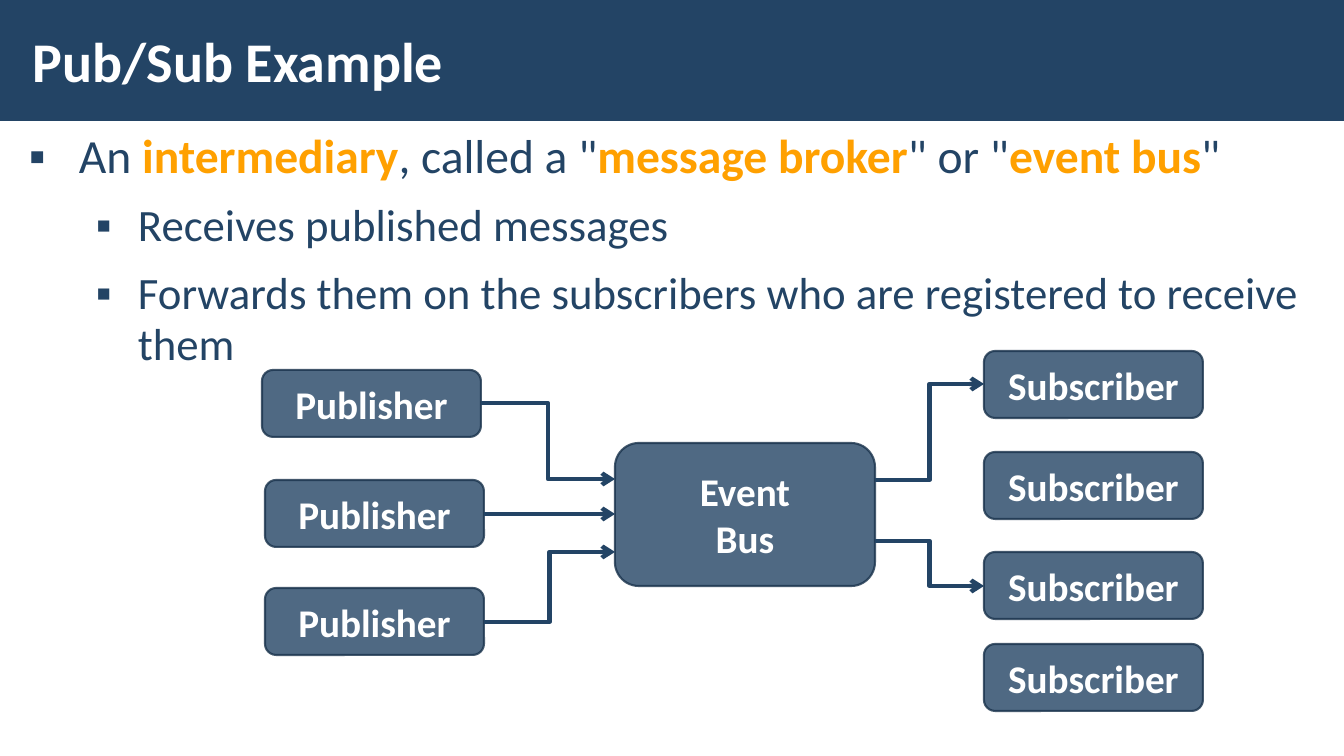
from lxml import etree
from pptx import Presentation
from pptx.dml.color import RGBColor
from pptx.enum.shapes import MSO_CONNECTOR, MSO_SHAPE
from pptx.enum.text import MSO_ANCHOR, MSO_AUTO_SIZE, PP_ALIGN
from pptx.oxml.ns import qn
from pptx.util import Pt

RECTANGLE, ROUNDED = MSO_SHAPE.RECTANGLE, MSO_SHAPE.ROUNDED_RECTANGLE
STRAIGHT, ELBOW = MSO_CONNECTOR.STRAIGHT, MSO_CONNECTOR.ELBOW
MIDDLE, TOP = MSO_ANCHOR.MIDDLE, MSO_ANCHOR.TOP
LEFT, CENTER = PP_ALIGN.LEFT, PP_ALIGN.CENTER
NO_AUTOFIT = MSO_AUTO_SIZE.NONE

NAVY = RGBColor(0x23, 0x44, 0x65)
DARK_NAVY = RGBColor(0x1A, 0x33, 0x4C)
ORANGE = RGBColor(0xFF, 0xA0, 0x00)
WHITE = RGBColor(0xFF, 0xFF, 0xFF)

FONT = "Calibri"
PAGE_WIDTH, PAGE_HEIGHT = 1344, 756
EMU_PER_PX = 12192000 / PAGE_WIDTH

NODE_WIDTH, NODE_HEIGHT = 219, 67
PUBLISHERS = [(262, 370), (265, 480), (265, 588)]
BUS = (615, 443, 260, 143)
SUBSCRIBER_LEFT = 984
SUBSCRIBER_TOPS = [351, 452, 552, 644]

# Level, then (text, highlighted) spans
BULLETS = [
    (0, [("An ", False), ("intermediary", True), (', called a "', False),
         ("message broker", True), ('" or "', False), ("event bus", True),
         ('"', False)]),
    (1, [("Receives published messages", False)]),
    (1, [("Forwards them on the subscribers who are registered to receive them",
          False)]),
]
# Per level: font size in points, left margin and hanging indent in px
LEVELS = [(34, 50, -50), (32, 109, -42)]

ARROWS = [
    (ELBOW, (481, 403), (615, 479)),
    (STRAIGHT, (484, 514), (615, 514)),
    (ELBOW, (484, 622), (615, 552)),
    (ELBOW, (875, 480), (984, 384)),
    (ELBOW, (875, 541), (984, 586)),
]


def px(length):
    return round(length * EMU_PER_PX)


def set_font(font, size, color, bold):
    font.name = FONT
    font.size = Pt(size)
    font.color.rgb = color
    font.bold = bold


def set_alpha(fill_parent, percent):
    """Make the solid fill below an element partly transparent."""
    color = fill_parent.find(qn("a:solidFill"))[0]
    etree.SubElement(color, qn("a:alpha"), val=str(percent * 1000))


def place(placeholder, left, top, width, height, anchor):
    placeholder.left, placeholder.top = px(left), px(top)
    placeholder.width, placeholder.height = px(width), px(height)
    frame = placeholder.text_frame
    frame.margin_left = frame.margin_right = px(12)
    frame.margin_top = frame.margin_bottom = px(4)
    frame.vertical_anchor = anchor
    frame.word_wrap = True
    frame.auto_size = NO_AUTOFIT
    return frame


def add_band(page):
    band = page.shapes.add_shape(RECTANGLE, 0, 0, px(PAGE_WIDTH), px(121))
    band.shadow.inherit = False
    band.fill.solid()
    band.fill.fore_color.rgb = NAVY
    band.line.fill.background()
    # Send behind the title
    page.shapes._spTree.insert(2, band._element)


def add_title(page, text):
    frame = place(page.shapes.title, 21, 11, 1048, 98, MIDDLE)
    frame.text = text
    para = frame.paragraphs[0]
    para.alignment = LEFT
    set_font(para.font, 40, WHITE, True)


def add_bullets(page):
    frame = place(page.placeholders[1], 17, 126, 1297, 263, TOP)
    for index, (level, spans) in enumerate(BULLETS):
        para = frame.add_paragraph() if index else frame.paragraphs[0]
        size, margin, indent = LEVELS[level]
        para.level = level
        para.line_spacing = 0.95
        para.space_before = para.space_after = Pt(6)
        properties = para._p.get_or_add_pPr()
        properties.set("marL", str(px(margin)))
        properties.set("indent", str(px(indent)))
        etree.SubElement(properties, qn("a:buChar"), char="▪")
        set_font(para.font, size, NAVY, False)
        for text, highlighted in spans:
            span = para.add_run()
            span.text = text
            if highlighted:
                span.font.color.rgb = ORANGE
                span.font.bold = True


def add_node(page, text, left, top, width=NODE_WIDTH, height=NODE_HEIGHT):
    box = page.shapes.add_shape(ROUNDED, px(left), px(top), px(width), px(height))
    box.shadow.inherit = False
    box.fill.solid()
    box.fill.fore_color.rgb = NAVY
    box.line.color.rgb = DARK_NAVY
    box.line.width = Pt(1.5)
    properties = box._element.spPr
    set_alpha(properties, 80)
    set_alpha(properties.find(qn("a:ln")), 80)
    frame = box.text_frame
    frame.text = text
    frame.vertical_anchor = MIDDLE
    for para in frame.paragraphs:
        para.alignment = CENTER
        set_font(para.font, 28, WHITE, True)


def add_arrow(page, kind, start, end):
    points = [px(value) for value in (*start, *end)]
    arrow = page.shapes.add_connector(kind, *points)
    arrow.line.color.rgb = NAVY
    arrow.line.width = Pt(3)
    etree.SubElement(arrow.line._get_or_add_ln(), qn("a:tailEnd"), type="arrow")
    etree.SubElement(arrow._element.spPr, qn("a:effectLst"))


def main():
    deck = Presentation()
    deck.slide_width, deck.slide_height = px(PAGE_WIDTH), px(PAGE_HEIGHT)
    page = deck.slides.add_slide(deck.slide_layouts[1])

    # Heading and list
    add_band(page)
    add_title(page, "Pub/Sub Example")
    add_bullets(page)

    # Message flow
    for left, top in PUBLISHERS:
        add_node(page, "Publisher", left, top)
    add_node(page, "Event\nBus", *BUS)
    for top in SUBSCRIBER_TOPS:
        add_node(page, "Subscriber", SUBSCRIBER_LEFT, top)
    for kind, start, end in ARROWS:
        add_arrow(page, kind, start, end)

    deck.save("out.pptx")


if __name__ == "__main__":
    main()
